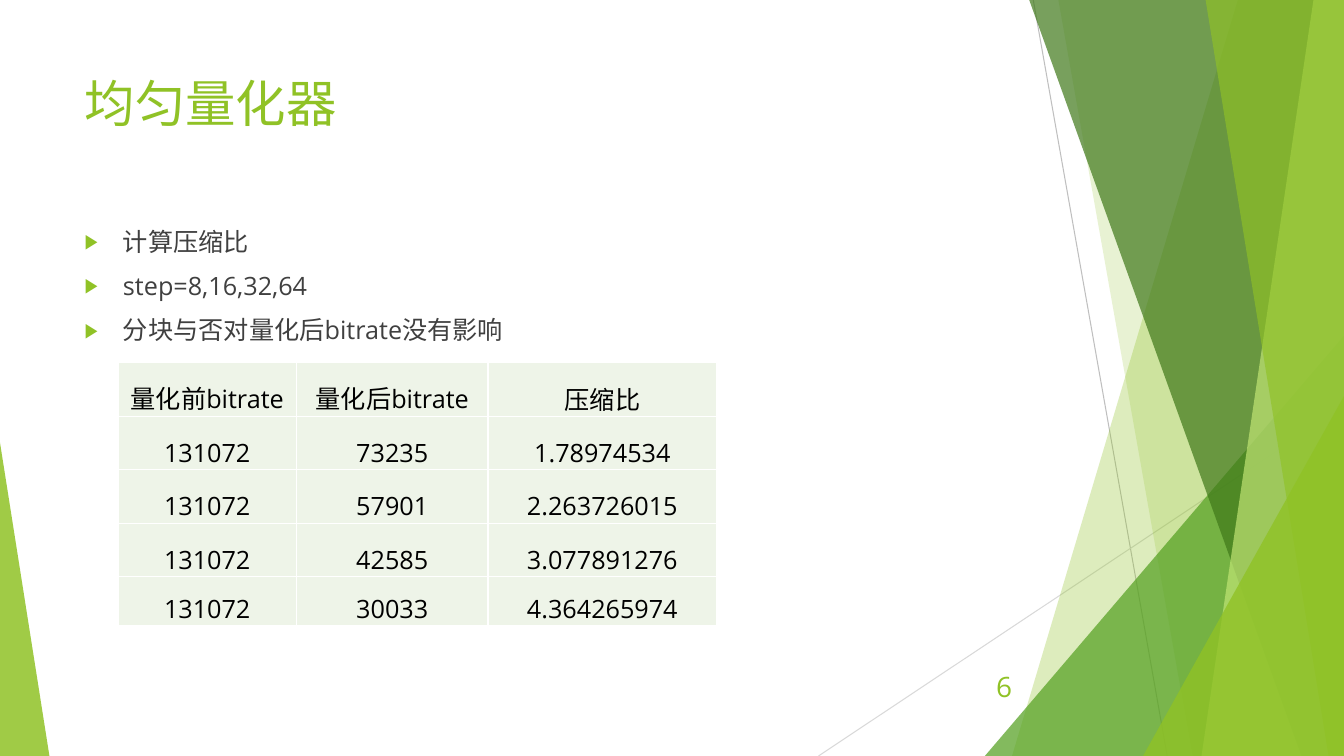
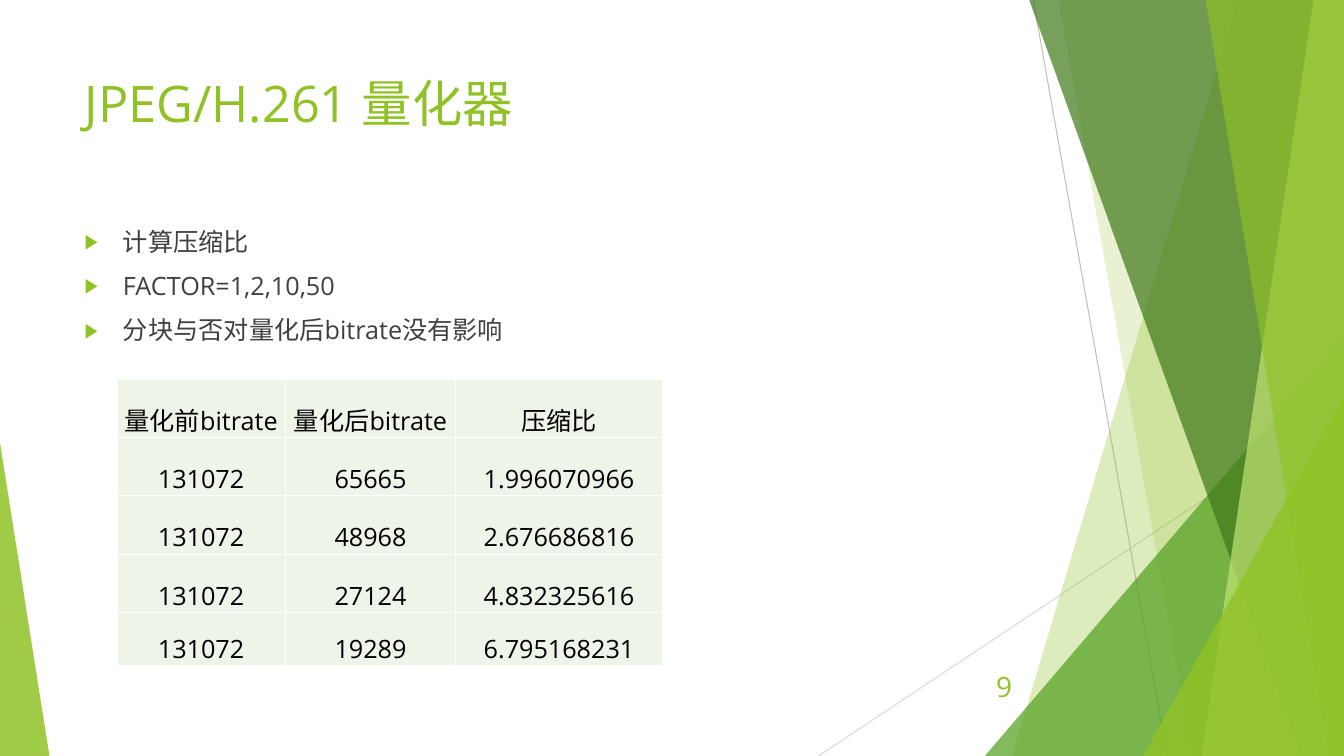
"""Build two slides on quantizer compression ratios in a green faceted style."""
from lxml import etree
from pptx import Presentation
from pptx import util as u
from pptx.dml import color
from pptx.enum import shapes, text
from pptx.oxml import ns

COLOURS = {
    "green": "90C226", "leaf": "54A021", "forest": "3F7819", "lime": "C0E474",
    "grey": "BFBFBF", "silver": "D9D9D9", "body": "404040", "ink": "000000",
    "cell": "EEF4E8", "white": "FFFFFF",
}
FONT = "Open Sans"
RULES = [
    ((76.88, 0), (86.85, 100), "grey"),
    ((100, 53.73), (60.9, 100), "silver"),
]
FACETS = [
    ("band", (92.1, 75.3), "green", 30),
    ("band", (78.75, 88.73), "green", 20),
    ("triangle", (73.28, 44.4, 26.72, 55.6, 1), "leaf", 72),
    ("band", (76.58, 96.83), "forest", 70),
    ("band", (97.73, 89.4), "lime", 70),
    ("band", (89.7, 98.85), "green", 65),
    ("triangle", (85.05, 52.4, 14.95, 47.6, 1), "green", 80),
    ("triangle", (0, 58.53, 3.68, 41.47, 0), "green", 85),
]
SLIDES = [
    {
        "title": "均匀量化器", "setting": "step=8,16,32,64", "number": "6",
        "corner": (8.78, 48), "columns": (13.28, 14.25, 17.03), "rows": (7.07, 6.53),
        "results": [("73235", "1.78974534"), ("57901", "2.263726015"),
                    ("42585", "3.077891276"), ("30033", "4.364265974")],
    },
    {
        "title": "JPEG/H.261 量化器", "setting": "FACTOR=1,2,10,50", "number": "9",
        "corner": (8.7, 50.13), "columns": (12.53, 12.68, 15.38), "rows": (7.73, 7.07),
        "results": [("65665", "1.996070966"), ("48968", "2.676686816"),
                    ("27124", "4.832325616"), ("19289", "6.795168231")],
    },
]


def rgb(name):
    """Return the named palette colour."""
    return color.RGBColor.from_string(COLOURS[name])


def add_xml(parent, tag, **attributes):
    """Append a drawing element with the given attributes."""
    return etree.SubElement(parent, ns.qn(f"a:{tag}"), attributes)


class Deck:
    """Hold the style and the current slide; lengths are percent of the slide."""

    def __init__(self):
        """Start a widescreen presentation."""
        self.presentation = Presentation()
        self.presentation.slide_width = u.Inches(13.33)
        self.presentation.slide_height = u.Inches(7.5)
        self.slide = None

    def x(self, share):
        """Convert a share of the width."""
        return round(self.presentation.slide_width * share / 100)

    def y(self, share):
        """Convert a share of the height."""
        return round(self.presentation.slide_height * share / 100)

    def box(self, left, top, width, height):
        """Convert a rectangle."""
        return self.x(left), self.y(top), self.x(width), self.y(height)

    def start_slide(self):
        """Add a slide with its decoration behind the placeholders."""
        self.slide = self.presentation.slides.add_slide(self.presentation.slide_layouts[1])
        for start, end, colour in RULES:
            self.rule(start, end, colour)
        for kind, geometry, colour, opacity in FACETS:
            shape = self.band(*geometry) if kind == "band" else self.triangle(*geometry)
            self.paint(shape, colour, opacity)
        for placeholder in list(self.slide.placeholders):
            placeholder.element.getparent().append(placeholder.element)

    def rule(self, start, end, colour):
        """Draw a thin line."""
        connector = self.slide.shapes.add_connector(
            shapes.MSO_CONNECTOR.STRAIGHT,
            self.x(start[0]), self.y(start[1]), self.x(end[0]), self.y(end[1]))
        connector.line.color.rgb = rgb(colour)
        connector.line.width = u.Pt(0.75)
        add_xml(connector.element.spPr, "effectLst")

    def band(self, top_left, bottom_left):
        """Draw a full-height band that reaches the right edge."""
        builder = self.slide.shapes.build_freeform(self.x(top_left), 0, scale=1.0)
        corners = [(100, 0), (100, 100), (bottom_left, 100)]
        builder.add_line_segments([(self.x(x), self.y(y)) for x, y in corners], close=True)
        return builder.convert_to_shape()

    def triangle(self, left, top, width, height, apex):
        """Draw a triangle with its apex at a share of its width."""
        shape = self.slide.shapes.add_shape(
            shapes.MSO_SHAPE.ISOSCELES_TRIANGLE, *self.box(left, top, width, height))
        shape.adjustments[0] = apex
        return shape

    def paint(self, shape, colour, opacity):
        """Fill a shape with a translucent colour and no outline."""
        shape.shadow.inherit = False
        shape.fill.solid()
        shape.fill.fore_color.rgb = rgb(colour)
        shape.line.fill.background()
        fill = shape.element.xpath("./p:spPr/a:solidFill/a:srgbClr")[0]
        add_xml(fill, "alpha", val=str(opacity * 1000))

    def add_text(self, paragraph, words, size, colour, alignment=text.PP_ALIGN.LEFT):
        """Add one formatted run to a paragraph."""
        paragraph.alignment = alignment
        run = paragraph.add_run()
        run.text = words
        run.font.name = FONT
        run.font.size = u.Pt(size)
        run.font.color.rgb = rgb(colour)

    def frame(self, shape, area, anchor):
        """Place a text shape and return its text frame."""
        shape.left, shape.top, shape.width, shape.height = self.box(*area)
        frame = shape.text_frame
        frame.word_wrap = True
        frame.auto_size = text.MSO_AUTO_SIZE.NONE
        frame.vertical_anchor = anchor
        return frame

    def title(self, words):
        """Fill the title placeholder."""
        frame = self.frame(self.slide.shapes.title, (5.55, 8.93, 70.5, 19.2),
                           text.MSO_ANCHOR.TOP)
        self.add_text(frame.paragraphs[0], words, 36, "green")

    def bullets(self, items):
        """Fill the body placeholder with a list."""
        frame = self.frame(self.slide.placeholders[1], (5.55, 29.2, 70.5, 58.93),
                           text.MSO_ANCHOR.TOP)
        for index, item in enumerate(items):
            paragraph = frame.add_paragraph() if index else frame.paragraphs[0]
            self.add_text(paragraph, item, 18, "body")
            paragraph.space_before = u.Pt(10)
            paragraph.space_after = u.Pt(0)
            properties = paragraph._p.get_or_add_pPr()
            properties.set("marL", str(u.Inches(0.38)))
            properties.set("indent", str(-u.Inches(0.38)))
            add_xml(add_xml(properties, "buClr"), "srgbClr", val=COLOURS["green"])
            add_xml(properties, "buSzPct", val="80000")
            add_xml(properties, "buFont", typeface=FONT)
            add_xml(properties, "buChar", char="▶")

    def table(self, corner, columns, rows, records):
        """Draw a table whose last row has its own height."""
        heights = [rows[0]] * (len(records) - 1) + [rows[1]]
        table = self.slide.shapes.add_table(
            len(records), len(columns),
            *self.box(*corner, sum(columns), sum(heights))).table
        table.first_row = table.horz_banding = False
        for column, width in zip(table.columns, columns):
            column.width = self.x(width)
        for row, height, record in zip(table.rows, heights, records):
            row.height = self.y(height)
            for cell, words in zip(row.cells, record):
                self.cell(cell, words)

    def cell(self, cell, words):
        """Format one table cell."""
        cell.margin_left = cell.margin_right = cell.margin_top = u.Inches(0.01)
        cell.margin_bottom = 0
        cell.vertical_anchor = text.MSO_ANCHOR.BOTTOM
        properties = cell._tc.get_or_add_tcPr()
        for side in ("lnL", "lnR", "lnT", "lnB"):
            border = add_xml(properties, side, w=str(u.Pt(1)))
            add_xml(add_xml(border, "solidFill"), "srgbClr", val=COLOURS["white"])
        cell.fill.solid()
        cell.fill.fore_color.rgb = rgb("cell")
        self.add_text(cell.text_frame.paragraphs[0], words, 18, "ink", text.PP_ALIGN.CENTER)

    def page_number(self, number):
        """Set the page number near the lower right."""
        area = (70.43, 88.13, 5.63, 5.33)
        shape = self.slide.shapes.add_textbox(*self.box(*area))
        frame = self.frame(shape, area, text.MSO_ANCHOR.MIDDLE)
        self.add_text(frame.paragraphs[0], number, 20, "green", text.PP_ALIGN.RIGHT)


deck = Deck()
for content in SLIDES:
    deck.start_slide()
    deck.title(content["title"])
    deck.bullets(["计算压缩比", content["setting"], "分块与否对量化后bitrate没有影响"])
    records = [("量化前bitrate", "量化后bitrate", "压缩比")]
    records += [("131072", *result) for result in content["results"]]
    deck.table(content["corner"], content["columns"], content["rows"], records)
    deck.page_number(content["number"])
deck.presentation.save("out.pptx")
